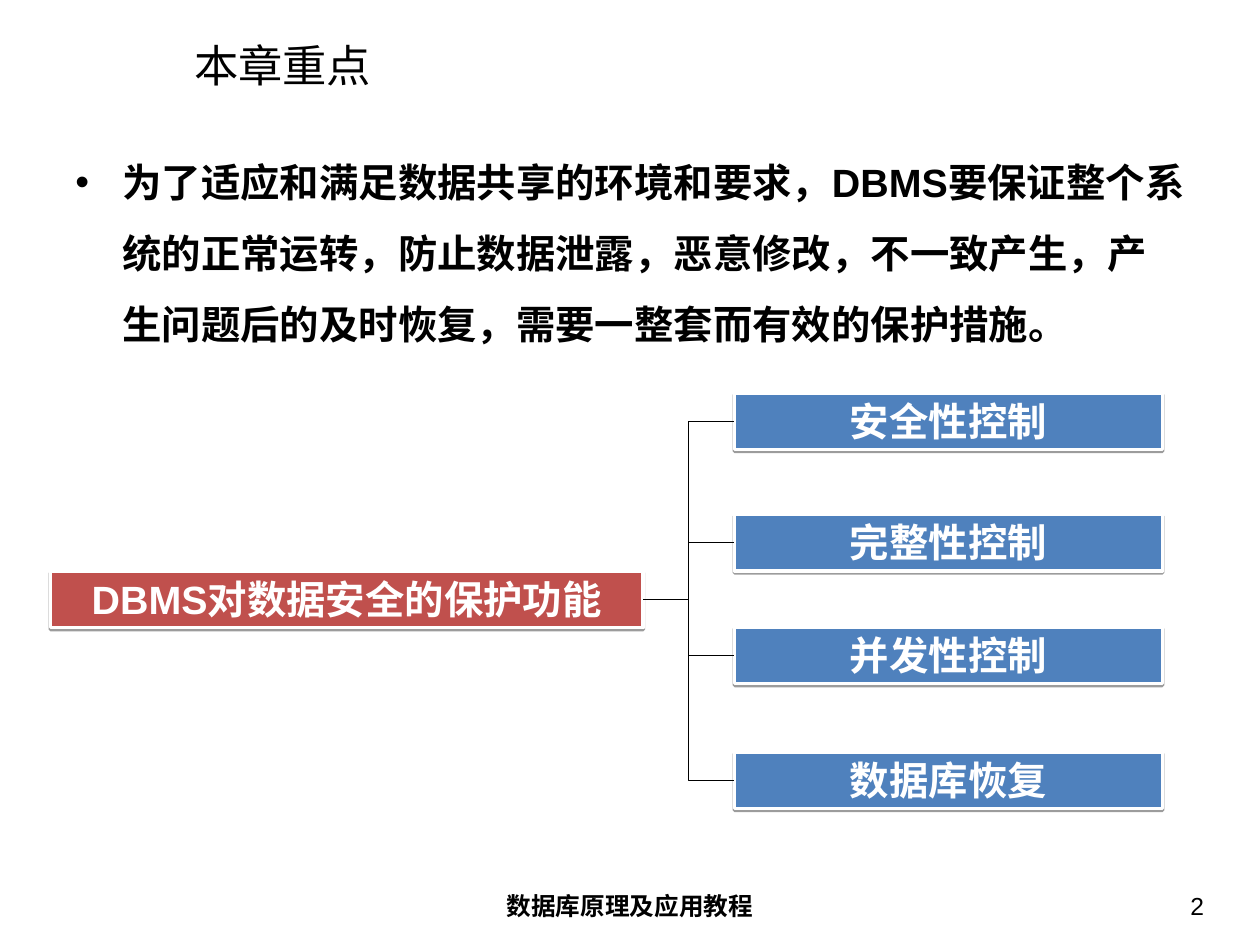
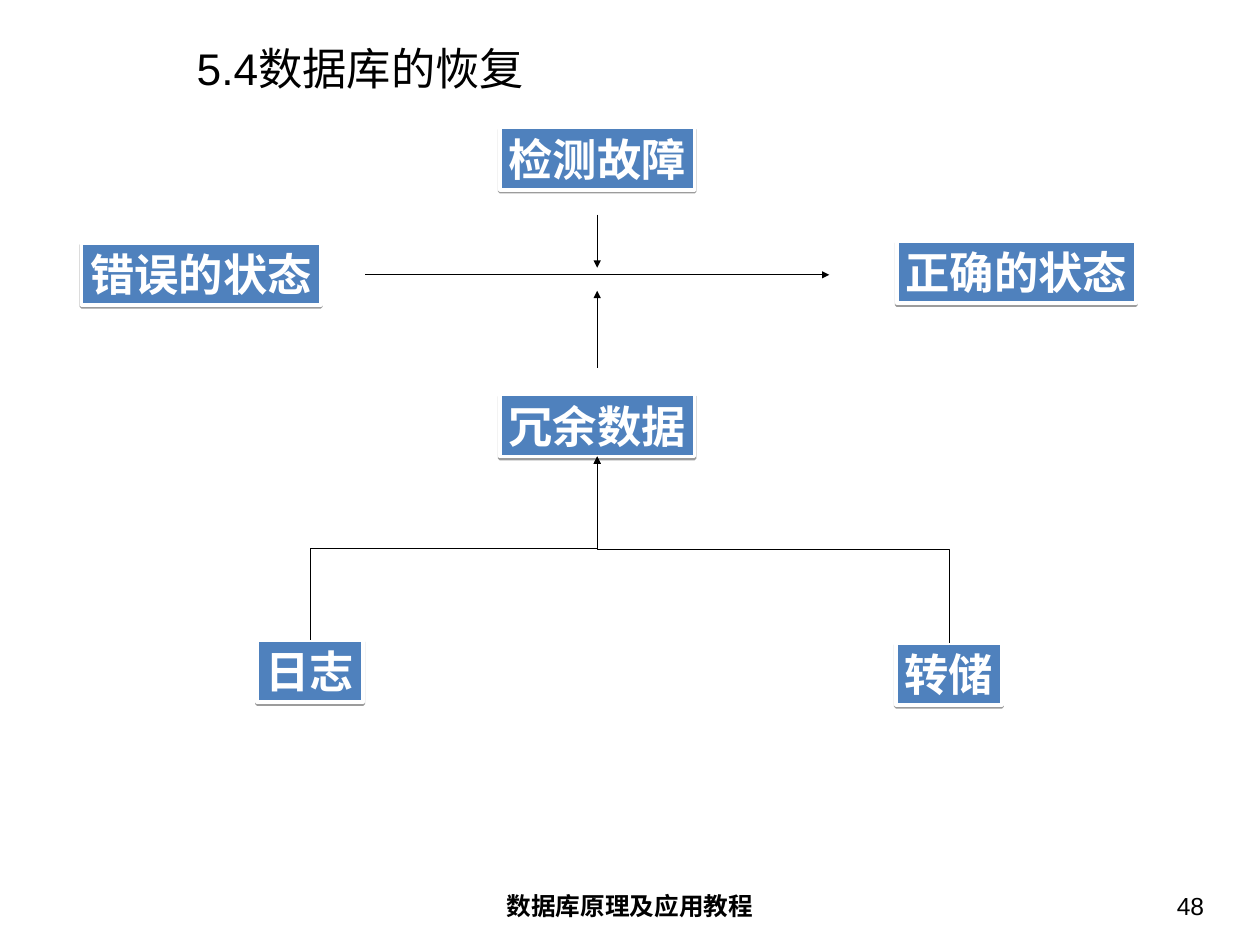
from dataclasses import dataclass

from lxml import etree
from pptx import Presentation
from pptx.dml.color import RGBColor
from pptx.enum.shapes import MSO_CONNECTOR as Connector, MSO_SHAPE as Shape
from pptx.enum.text import MSO_ANCHOR as Anchor, MSO_AUTO_SIZE as AutoSize, PP_ALIGN as Align
from pptx.oxml.ns import qn
from pptx.util import Inches, Pt


@dataclass(frozen=True)
class Theme:
    font: str = "Arial"
    ink: str = "000000"
    light: str = "FFFFFF"
    blue: str = "4F81BD"
    red: str = "C0504D"
    title_size: int = 36
    body_size: int = 32
    footer_size: int = 20
    border: float = 3
    connector: float = 0.75


theme = Theme()


def add_text(slide, text, at, size, bold=False, align=Align.LEFT, anchor=Anchor.TOP):
    """Add a one-paragraph text box and return its paragraph."""
    frame = slide.shapes.add_textbox(*map(Inches, at)).text_frame
    frame.word_wrap = True
    frame.vertical_anchor = anchor
    frame.margin_left = frame.margin_right = Inches(0.14)
    frame.margin_top = frame.margin_bottom = Inches(0.07)
    paragraph = frame.paragraphs[0]
    paragraph.alignment = align
    run = paragraph.add_run()
    run.text = text
    run.font.name = theme.font
    run.font.size = Pt(size)
    run.font.bold = bold
    run.font.color.rgb = RGBColor.from_string(theme.ink)
    return paragraph


def add_box(slide, text, at, size, fill=theme.blue, align=Align.CENTER, wrap=True):
    """Add a white-bordered box with a thin shadow below it."""
    box = slide.shapes.add_shape(Shape.RECTANGLE, *map(Inches, at))
    box.fill.solid()
    box.fill.fore_color.rgb = RGBColor.from_string(fill)
    box.line.color.rgb = RGBColor.from_string(theme.light)
    box.line.width = Pt(theme.border)
    box.shadow.inherit = False
    shadow = etree.SubElement(box.element.spPr.find(qn("a:effectLst")), qn("a:outerShdw"),
                              blurRad="0", dist=str(Pt(1.6)), dir="5400000", rotWithShape="0")
    color = etree.SubElement(shadow, qn("a:srgbClr"), val=theme.ink)
    etree.SubElement(color, qn("a:alpha"), val="38000")
    frame = box.text_frame
    frame.word_wrap = wrap
    frame.auto_size = AutoSize.SHAPE_TO_FIT_TEXT
    frame.vertical_anchor = Anchor.TOP
    paragraph = frame.paragraphs[0]
    paragraph.alignment = align
    run = paragraph.add_run()
    run.text = text
    run.font.name = theme.font
    run.font.size = Pt(size)
    run.font.bold = True
    run.font.color.rgb = RGBColor.from_string(theme.light)
    return box


presentation = Presentation()
presentation.slide_width = Inches(14.22)
presentation.slide_height = Inches(10.66)

# Title, footer and page number of each slide
slides = []
for title, left, top, number in [("本章重点", 2.05, 0.45, "2"),
                                 ("5.4数据库的恢复", 2.08, 0.48, "48")]:
    slide = presentation.slides.add_slide(presentation.slide_layouts[6])
    add_text(slide, title, (left, top, 11.83, 0.57), theme.title_size, anchor=Anchor.MIDDLE)
    add_text(slide, "数据库原理及应用教程", (4.86, 9.98, 4.5, 0.55), theme.footer_size,
             bold=True, align=Align.CENTER)
    add_text(slide, number, (10.41, 9.98, 3.32, 0.55), theme.footer_size, align=Align.RIGHT)
    slides.append(slide)
focus_slide, recovery_slide = slides
lines, arrows = [], []

# Key points: bulleted statement
statement = add_text(
    focus_slide,
    "为了适应和满足数据共享的环境和要求，DBMS要保证整个系统的正常运转，防止数据泄露，"
    "恶意修改，不一致产生，产生问题后的及时恢复，需要一整套而有效的保护措施。",
    (0.71, 1.45, 12.8, 2.78), theme.body_size, bold=True)
properties = statement._p.get_or_add_pPr()
properties.set("marL", str(Inches(0.53)))
properties.set("indent", str(-Inches(0.53)))
etree.SubElement(properties, qn("a:buFont"), typeface=theme.font)
etree.SubElement(properties, qn("a:buChar"), char="•")
statement.line_spacing = 1.5

# Key points: protection functions tree
root = add_box(focus_slide, "DBMS对数据安全的保护功能", (0.57, 6.44, 6.69, 0.64),
               theme.body_size, fill=theme.red)
for text, top in [("安全性控制", 4.43), ("完整性控制", 5.8),
                  ("并发性控制", 7.07), ("数据库恢复", 8.48)]:
    branch = add_box(focus_slide, text, (8.29, top, 4.83, 0.64), theme.body_size)
    line = focus_slide.shapes.add_connector(Connector.ELBOW, 0, 0, 0, 0)
    line.begin_connect(root, 3)
    line.end_connect(branch, 1)
    lines.append(line)

# Recovery: state and data boxes
boxes = {}
for text, left, top, width in [("检测故障", 5.64, 1.44, 2.2), ("错误的状态", 0.92, 2.74, 2.7),
                               ("正确的状态", 10.12, 2.72, 2.7), ("冗余数据", 5.64, 4.45, 2.2),
                               ("日志", 2.9, 7.22, 1.2), ("转储", 10.11, 7.25, 1.2)]:
    boxes[text] = add_box(recovery_slide, text, (left, top, width, 0.7), theme.title_size,
                          align=Align.LEFT, wrap=False)

# Recovery: straight arrows around the transition
for ends in [(4.12, 3.1, 9.36, 3.1), (6.74, 2.42, 6.74, 3.02), (6.74, 4.15, 6.74, 3.28)]:
    arrows.append(recovery_slide.shapes.add_connector(Connector.STRAIGHT, *map(Inches, ends)))

# Recovery: elbow arrows rising to the redundant data, drawn as rotated connectors
target = boxes["冗余数据"]
end_x, end_y = target.left + target.width // 2, target.top + target.height
for text, side, rotation in [("日志", 1, 90), ("转储", -1, 270)]:
    source = boxes[text]
    start_x, start_y = source.left + source.width // 2, source.top
    middle_x, middle_y = (start_x + end_x) // 2, (start_y + end_y) // 2
    half_rise, half_run = (start_y - end_y) // 2, abs(end_x - start_x) // 2
    arrow = recovery_slide.shapes.add_connector(Connector.ELBOW, 0, 0, 0, 0)
    arrow.begin_connect(source, 0)
    arrow.end_connect(target, 2)
    arrow.begin_x, arrow.begin_y = middle_x + side * half_rise, middle_y + half_run
    arrow.end_x, arrow.end_y = middle_x - side * half_rise, middle_y - half_run
    arrow.element.spPr.find(qn("a:xfrm")).set("rot", str(rotation * 60000))
    arrows.append(arrow)

# Connector style
for connector in lines + arrows:
    connector.line.color.rgb = RGBColor.from_string(theme.ink)
    connector.line.width = Pt(theme.connector)
    etree.SubElement(connector.element.spPr, qn("a:effectLst"))
for arrow in arrows:
    etree.SubElement(arrow.element.spPr.find(qn("a:ln")), qn("a:tailEnd"), type="triangle")

presentation.save("out.pptx")
